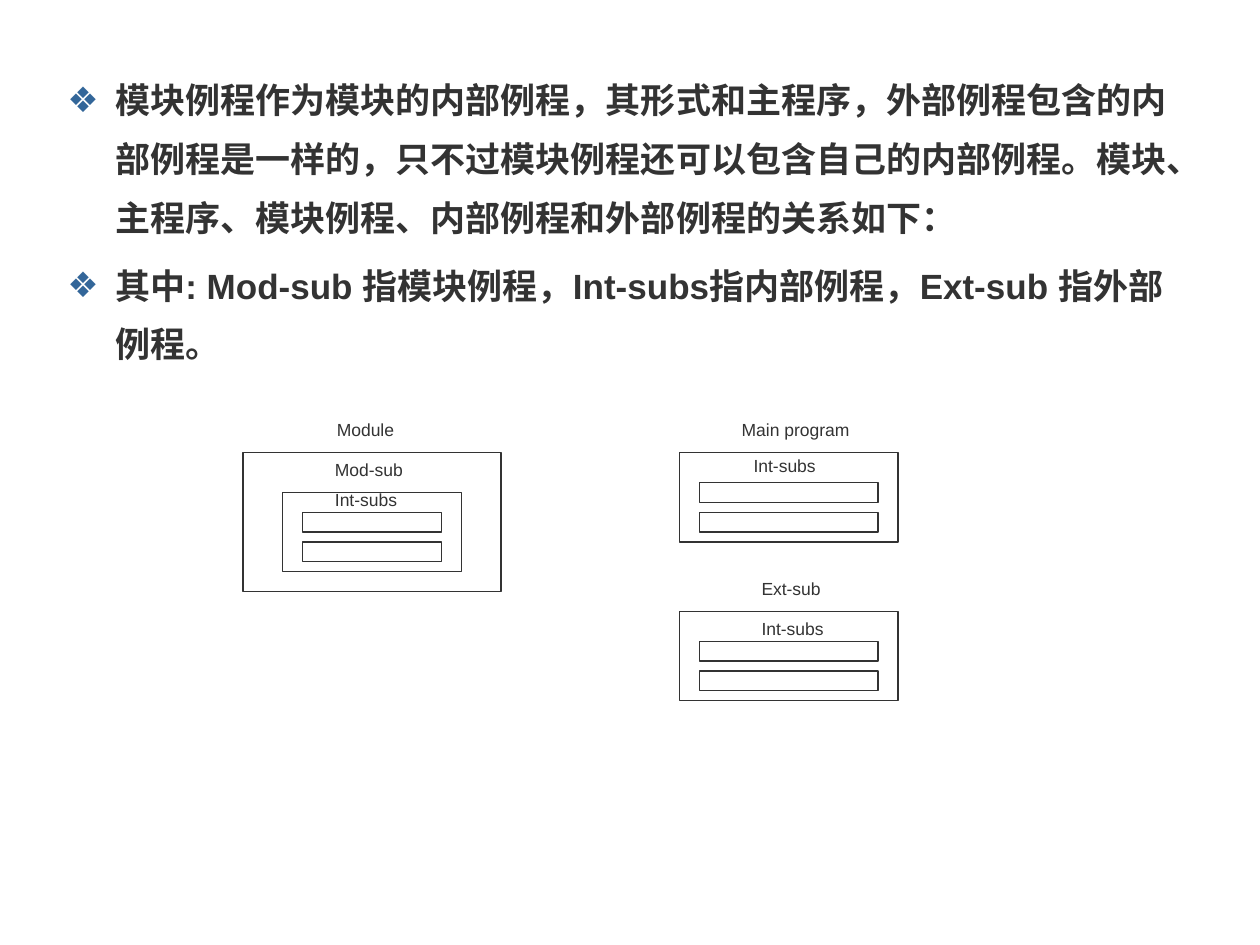
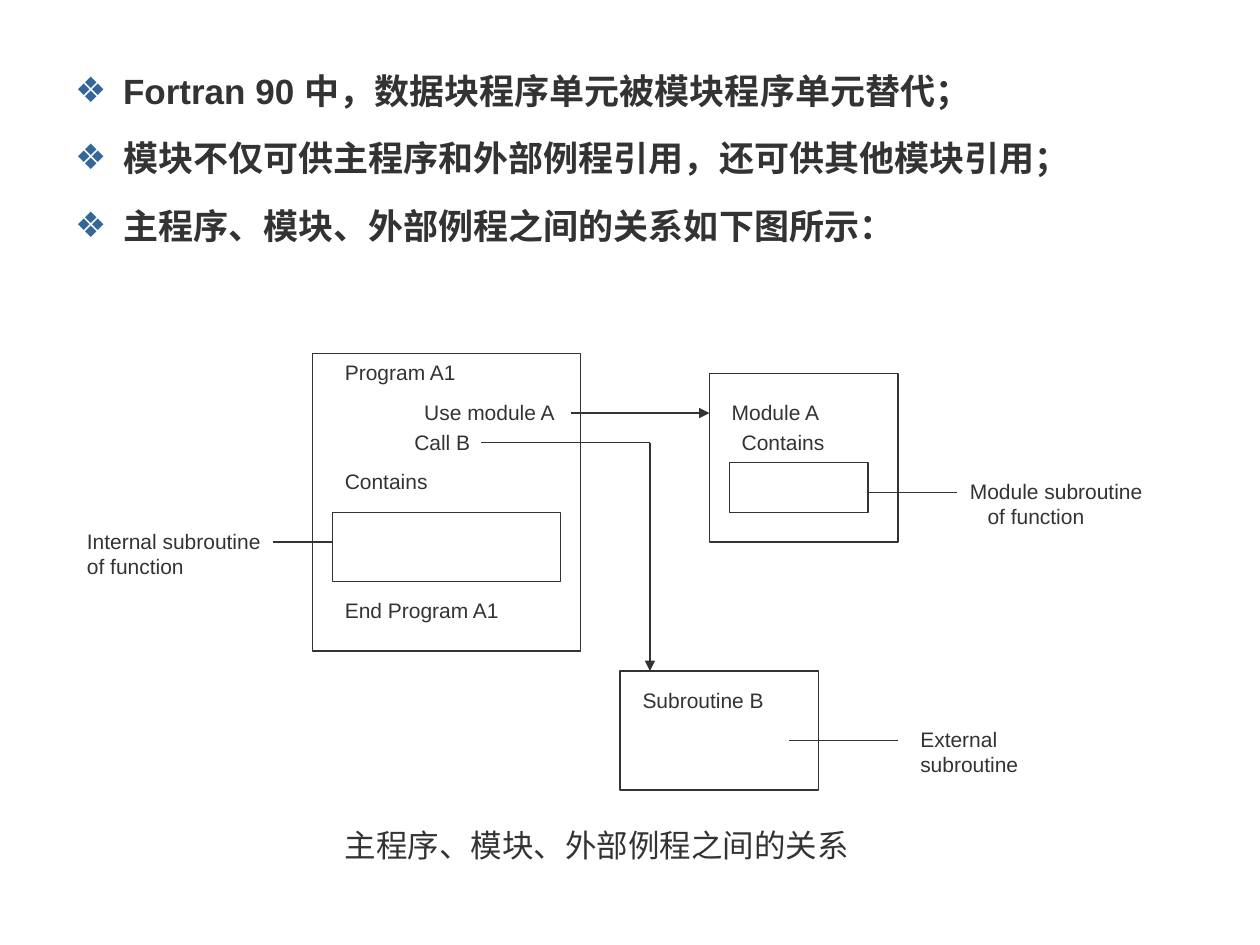
from lxml import etree
from pptx import Presentation
from pptx.dml.color import RGBColor
from pptx.enum.shapes import MSO_CONNECTOR, MSO_SHAPE
from pptx.enum.text import MSO_ANCHOR, MSO_AUTO_SIZE, PP_ALIGN
from pptx.oxml.ns import qn
from pptx.util import Inches, Pt

RECT = MSO_SHAPE.RECTANGLE
LINE = MSO_CONNECTOR.STRAIGHT
TOP = MSO_ANCHOR.TOP
LEFT = PP_ALIGN.LEFT
NO_FIT = MSO_AUTO_SIZE.NONE
GROW = MSO_AUTO_SIZE.SHAPE_TO_FIT_TEXT

FONT = "Arial"
INK = "333333"
PAPER = "FFFFFF"
ACCENT = "336699"
MARK = "❖"
HANG = 0.38        # bullet indent, inches
CELL = 1 / 12.7    # grid step, inches
ORIGIN = 0.04, 0.05


def rgb(code):
    """Turn a hex string into a colour."""
    return RGBColor.from_string(code)


def col(n):
    """Left edge of grid column n."""
    return Inches(ORIGIN[0] + n * CELL)


def row(n):
    """Top edge of grid row n."""
    return Inches(ORIGIN[1] + n * CELL)


def span(n):
    """Length of n grid cells."""
    return Inches(n * CELL)


def indent(para, left, first=0):
    """Set the left margin and first-line indent, in inches."""
    props = para._p.get_or_add_pPr()
    props.set("marL", str(Inches(left)))
    props.set("indent", str(Inches(first)))
    return props


def bullet(para):
    """Give a paragraph the coloured bullet and hanging indent."""
    props = indent(para, HANG, -HANG)
    tint = etree.SubElement(props, qn("a:buClr"))
    etree.SubElement(tint, qn("a:srgbClr")).set("val", ACCENT)
    etree.SubElement(props, qn("a:buChar")).set("char", MARK)


def write(frame, text, size=12, bold=False, gap=None, lead=None, mark=False):
    """Fill a text frame, one paragraph per line of text."""
    for n, part in enumerate(text.split("\n")):
        para = frame.add_paragraph() if n else frame.paragraphs[0]
        para.alignment = LEFT
        if lead:
            para.line_spacing = lead
        if gap:
            para.space_before = Pt(gap)
        if mark:
            bullet(para)
        run = para.add_run()
        run.text = part
        run.font.name, run.font.size = FONT, Pt(size)
        run.font.bold, run.font.color.rgb = bold, rgb(INK)


class Deck:
    """Holds the presentation, its style and the current slide."""

    def __init__(self):
        """Start an empty 4:3 deck."""
        self.show = Presentation()
        self.show.slide_width, self.show.slide_height = Inches(10), Inches(7.5)
        self.slide = None

    def page(self, text, x, y, h):
        """Add a slide whose body holds bulleted text."""
        self.slide = self.show.slides.add_slide(self.show.slide_layouts[1])
        title = self.slide.shapes.title.element
        title.getparent().remove(title)
        body = self.slide.placeholders[1]
        body.left, body.top = col(x), row(y)
        body.width, body.height = Inches(9), span(h)
        frame = body.text_frame
        frame.auto_size, frame.vertical_anchor = NO_FIT, TOP
        write(frame, text, size=20, bold=True, gap=5, lead=1.4, mark=True)

    def box(self, x, y, w, h):
        """Draw an outlined white box."""
        shape = self.slide.shapes.add_shape(RECT, col(x), row(y), span(w), span(h))
        shape.shadow.inherit = False
        shape.fill.solid()
        shape.fill.fore_color.rgb = rgb(PAPER)
        shape.line.color.rgb = rgb(INK)
        shape.line.width = Pt(0.74)

    def bars(self, x, y, w):
        """Draw the two stacked bars of internal routines."""
        for n in range(2):
            self.box(x, y + 3 * n, w, 2)

    def label(self, text, x, y, wide, size=12, shift=0):
        """Place a label, wide inches across; shift indents its last line."""
        high = 0.1 + size * 1.19 / 72 * len(text.split("\n"))
        area = self.slide.shapes.add_textbox(
            col(x), row(y), Inches(wide), Inches(high))
        frame = area.text_frame
        frame.word_wrap, frame.auto_size = False, GROW
        write(frame, text, size=size)
        if shift:
            indent(frame.paragraphs[-1], shift)

    def link(self, x1, y1, x2, y2, arrow=False):
        """Draw a straight line, with an arrowhead at its end if asked."""
        line = self.slide.shapes.add_connector(
            LINE, col(x1), row(y1), col(x2), row(y2))
        line.line.color.rgb = rgb(INK)
        line.line.width = Pt(0.74)
        props = line.element.spPr
        if arrow:
            tip = etree.SubElement(props.find(qn("a:ln")), qn("a:tailEnd"))
            tip.set("type", "triangle")
        etree.SubElement(props, qn("a:effectLst"))


def nesting(deck):
    """Slide 1: which routines each program unit holds."""
    deck.page(
        "模块例程作为模块的内部例程\uff0c其形式和主程序\uff0c"
        "外部例程包含的内部例程是一样的\uff0c"
        "只不过模块例程还可以包含自己的内部例程。模块、主程序、模块例程、"
        "内部例程和外部例程的关系如下\uff1a\n"
        "其中: Mod-sub 指模块例程\uff0cInt-subs指内部例程\uff0c"
        "Ext-sub 指外部例程。", 5, 5, 34)
    deck.box(24, 45, 26, 14)
    deck.box(28, 49, 18, 8)
    deck.bars(30, 51, 14)
    for top in (45, 61):
        deck.box(68, top, 22, 9)
        deck.bars(70, top + 3, 18)
    for text, x, y, wide in (
            ("Module", 32.2, 41, 0.67),
            ("Mod-sub", 32, 45, 0.74),
            ("Int-subs", 32, 48, 0.69),
            ("Main program", 73, 41, 1.09),
            ("Int-subs", 74.2, 44.6, 0.69),
            ("Ext-sub", 75, 57, 0.67),
            ("Int-subs", 75, 61, 0.69)):
        deck.label(text, x, y, wide, size=10)


def calls(deck):
    """Slide 2: how program, module and subroutine refer to each other."""
    deck.page(
        "Fortran 90 中\uff0c数据块程序单元被模块程序单元替代\uff1b\n"
        "模块不仅可供主程序和外部例程引用\uff0c还可供其他模块引用\uff1b\n"
        "主程序、模块、外部例程之间的关系如下图所示\uff1a", 5.8, 4, 24.4)
    for place in (
            (71, 37, 19, 17), (73, 46, 14, 5),    # module and its routine
            (31, 35, 27, 30), (33, 51, 23, 7),    # program and its routine
            (62, 67, 20, 12)):                    # subroutine
        deck.box(*place)
    for text, x, y, wide in (
            ("Program A1", 33, 35, 1.09),
            ("Use module A", 41, 39, 1.24),
            ("Call B", 40, 42, 0.67),
            ("Contains", 33, 46, 0.86),
            ("End Program A1", 33, 59, 1.43),
            ("Module A", 72, 39, 0.9),
            ("Contains", 73, 42, 0.86),
            ("Subroutine B", 63, 68, 1.19),
            ("Internal subroutine\nof function", 7, 52, 1.58),
            ("External\nsubroutine", 91, 72, 0.98)):
        deck.label(text, x, y, wide)
    deck.label("Module subroutine\nof function", 96, 47, 1.57, shift=0.14)
    deck.label("主程序、模块、外部例程之间的关系", 33, 82, 4.2, size=18)
    for ends in ((87, 49, 96, 49), (90, 74, 79, 74),
                 (48, 44, 65, 44), (27, 54, 33, 54)):
        deck.link(*ends)
    for ends in ((57, 41, 71, 41), (65, 44, 65, 67)):
        deck.link(*ends, arrow=True)


deck = Deck()
nesting(deck)
calls(deck)
deck.show.save("out.pptx")
